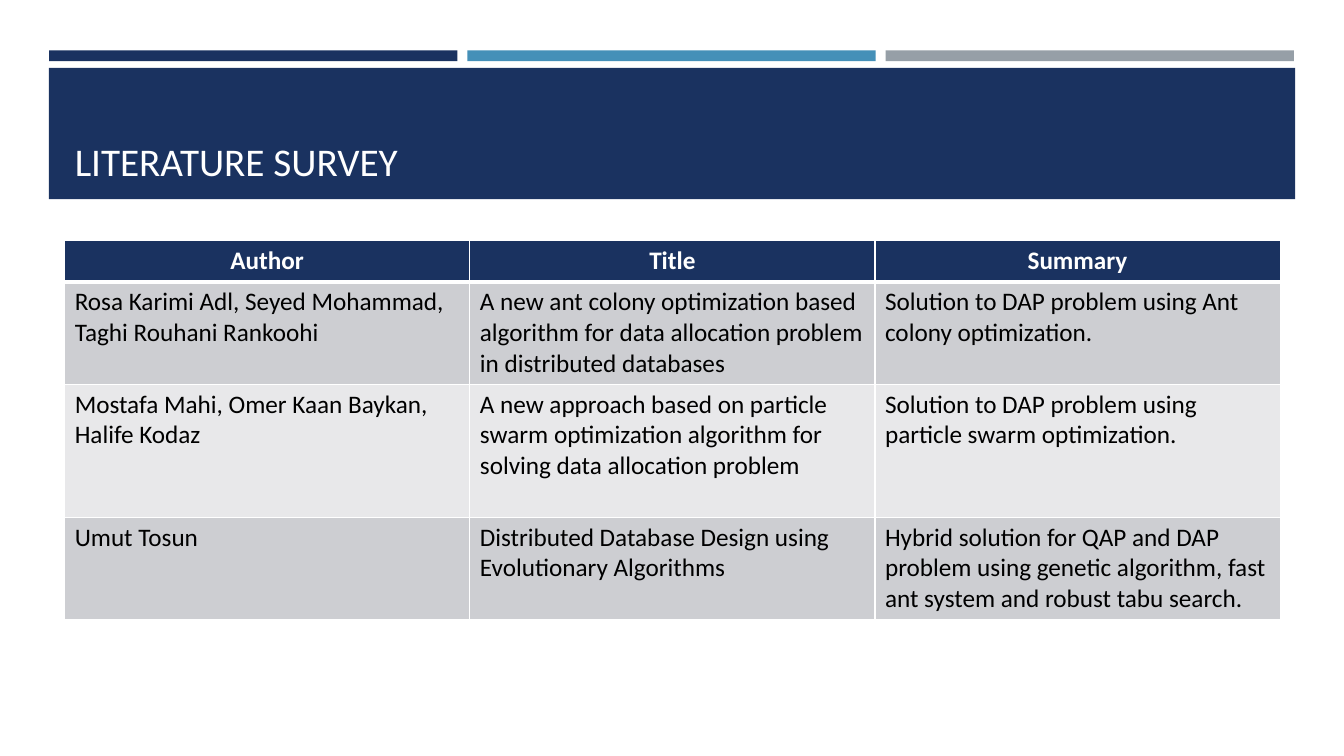
from lxml.etree import SubElement
from pptx import Presentation
from pptx.dml.color import RGBColor
from pptx.enum.shapes import MSO_SHAPE
from pptx.enum.text import MSO_ANCHOR, PP_ALIGN
from pptx.oxml.ns import qn
from pptx.util import Cm, Pt

TITLE = "LITERATURE SURVEY"
HEADINGS = ("Author", "Title", "Summary")
PAPERS = [
    ("Rosa Karimi Adl, Seyed Mohammad, Taghi Rouhani Rankoohi",
     "A new ant colony optimization based algorithm for data allocation problem "
     "in distributed databases",
     "Solution to DAP problem using Ant colony optimization."),
    ("Mostafa Mahi, Omer Kaan Baykan, Halife Kodaz",
     "A new approach based on particle swarm optimization algorithm for solving "
     "data allocation problem",
     "Solution to DAP problem using particle swarm optimization."),
    ("Umut Tosun",
     "Distributed Database Design using\nEvolutionary Algorithms",
     "Hybrid solution for QAP and DAP problem using genetic algorithm, fast ant "
     "system and robust tabu search."),
]

NAVY = RGBColor(0x1A, 0x32, 0x60)
BLUE = RGBColor(0x45, 0x90, 0xB8)
GREY = RGBColor(0x96, 0x9F, 0xA7)
DARK_BAND = RGBColor(0xCD, 0xCE, 0xD2)
LIGHT_BAND = RGBColor(0xE8, 0xE8, 0xEA)
WHITE = RGBColor(0xFF, 0xFF, 0xFF)
BLACK = RGBColor(0, 0, 0)
FONT = "Calibri"

MARGIN, CONTENT_WIDTH = 1.63, 30.63
BAR_LEFT, BAR_PITCH, BAR_WIDTH = 1.24, 10.54, 10.29
TABLE_TOP = 6.07
ROW_HEIGHTS = (1.03, 2.58, 3.35, 2.58)


def add_block(page, left, top, width, height, color):
    block = page.shapes.add_shape(
        MSO_SHAPE.RECTANGLE, Cm(left), Cm(top), Cm(width), Cm(height))
    block.shadow.inherit = False
    block.fill.solid()
    block.fill.fore_color.rgb = color
    block.line.fill.background()


def style_text(frame, size, color, align, bold=False):
    for para in frame.paragraphs:
        para.alignment = align
        for span in para.runs:
            font = span.font
            font.name, font.size, font.bold = FONT, Pt(size), bold
            font.color.rgb = color


def add_borders(cell, top, bottom):
    """Draw white borders, 1 pt at the sides and as given above and below."""
    properties = cell._tc.get_or_add_tcPr()
    widths = (("a:lnL", 1), ("a:lnR", 1), ("a:lnT", top), ("a:lnB", bottom))
    for position, (tag, width) in enumerate(widths):
        line = SubElement(properties, qn(tag), w=str(Pt(width)))
        fill = SubElement(line, qn("a:solidFill"))
        SubElement(fill, qn("a:srgbClr"), val=str(WHITE))
        properties.insert(position, line)


def add_title(page):
    title = page.shapes.title
    title.left, title.top = Cm(MARGIN), Cm(1.96)
    title.width, title.height = Cm(CONTENT_WIDTH), Cm(2.82)
    frame = title.text_frame
    frame.text = TITLE
    frame.vertical_anchor = MSO_ANCHOR.BOTTOM
    style_text(frame, 28, WHITE, PP_ALIGN.LEFT)
    page.shapes._spTree.append(title._element)  # bring in front of the band


def add_survey(page):
    rows = [HEADINGS, *PAPERS]
    table = page.shapes.add_table(
        len(rows), len(HEADINGS), Cm(MARGIN), Cm(TABLE_TOP),
        Cm(CONTENT_WIDTH), Cm(sum(ROW_HEIGHTS))).table
    for row_index, (texts, height) in enumerate(zip(rows, ROW_HEIGHTS)):
        table.rows[row_index].height = Cm(height)
        header = row_index == 0
        band = NAVY if header else DARK_BAND if row_index % 2 else LIGHT_BAND
        for column, text in enumerate(texts):
            cell = table.cell(row_index, column)
            cell.text_frame.text = text
            cell.fill.solid()
            cell.fill.fore_color.rgb = band
            style_text(cell.text_frame, 18, WHITE if header else BLACK,
                       PP_ALIGN.CENTER if header else PP_ALIGN.LEFT, header)
            add_borders(cell, 3 if row_index == 1 else 1, 3 if header else 1)


def main():
    deck = Presentation()
    deck.slide_width, deck.slide_height = Cm(33.87), Cm(19.05)
    page = deck.slides.add_slide(deck.slide_layouts[5])
    for index, color in enumerate((NAVY, BLUE, GREY)):
        add_block(page, BAR_LEFT + index * BAR_PITCH, 1.27, BAR_WIDTH, 0.27, color)
    add_block(page, 1.23, 1.71, 31.41, 3.31, NAVY)
    add_title(page)
    add_survey(page)
    deck.save("out.pptx")


if __name__ == "__main__":
    main()
